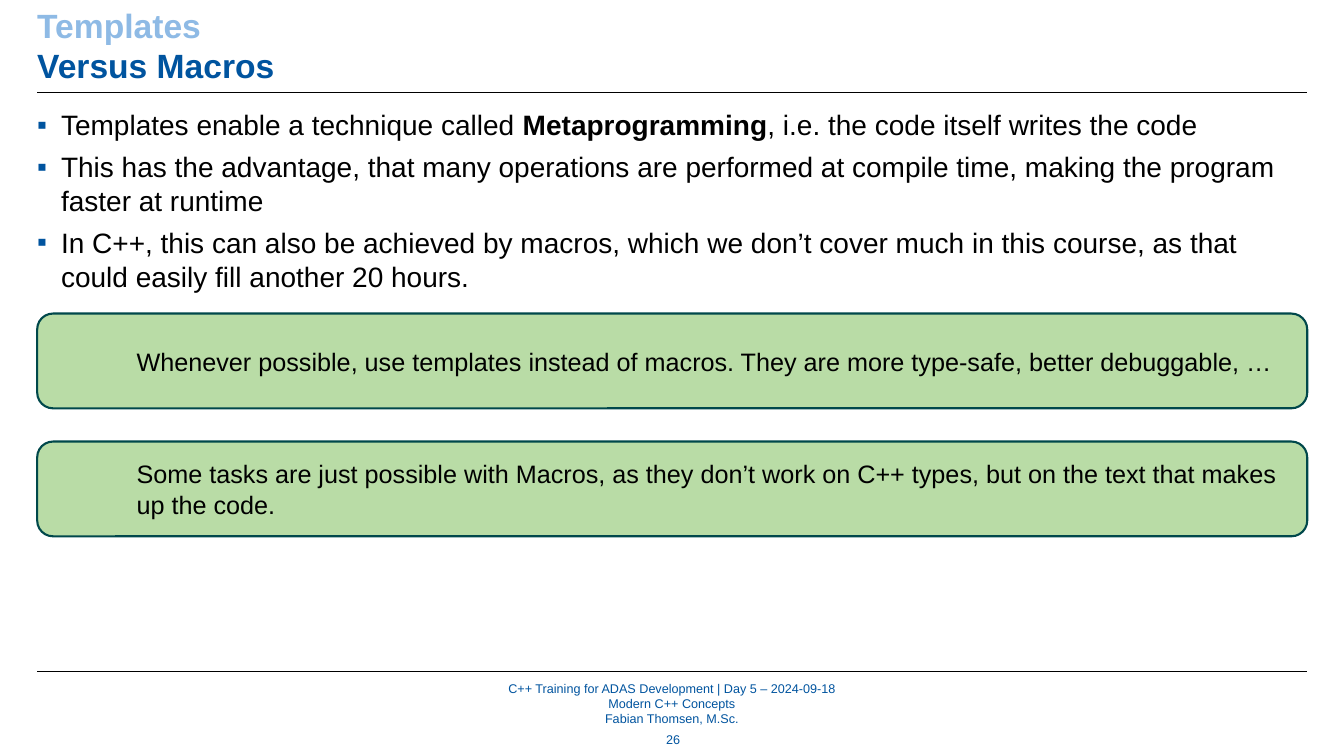
import pptx
import pptx.dml.color
import pptx.enum.shapes
import pptx.enum.text
import pptx.oxml
import pptx.oxml.ns
import pptx.util

Pt = pptx.util.Pt
ALIGN = pptx.enum.text.PP_ALIGN
ANCHOR = pptx.enum.text.MSO_ANCHOR
NAMESPACE = pptx.oxml.ns.nsdecls("a")

COLORS = {
    "blue": "00549F",
    "light_blue": "8EBAE5",
    "black": "000000",
    "green": "57AB27",
    "petrol": "00484B",
}
FORMATS = {
    "title": {"size": Pt(24), "bold": True},
    "body": {"size": Pt(20), "bold": False},
    "callout": {"size": Pt(18), "bold": False},
    "footer": {"size": Pt(9), "bold": False},
}

LEFT, WIDTH = 26.6, 907.2
TITLE_LINES = [("Templates", "light_blue"), ("Versus Macros", "blue")]
BULLETS = [
    ["Templates enable a technique called ", "Metaprogramming",
     ", i.e. the code itself writes the code"],
    ["This has the advantage, that many operations are performed at compile time, "
     "making the program faster at runtime"],
    ["In C++, this can also be achieved by macros, which we don’t cover much in "
     "this course, as that could easily fill another 20 hours."],
]
BOLD_TERM = "Metaprogramming"
CALLOUTS = [
    "Whenever possible, use templates instead of macros. They are more type-safe, "
    "better debuggable, …",
    "Some tasks are just possible with Macros, as they don’t work on C++ types, "
    "but on the text that makes up the code.",
]
FOOTER_LINES = [
    "C++ Training for ADAS Development | Day 5 – 2024-09-18",
    "Modern C++ Concepts",
    "Fabian Thomsen, M.Sc.",
]


def rgb(name):
    return pptx.dml.color.RGBColor.from_string(COLORS[name])


def place(shape, left, top, width, height):
    box = {"left": left, "top": top, "width": width, "height": height}
    for name, value in box.items():
        setattr(shape, name, Pt(value))


def set_frame(shape, anchor, margins=(0, 0, 0, 0)):
    frame = shape.text_frame
    frame.word_wrap = True
    frame.auto_size = pptx.enum.text.MSO_AUTO_SIZE.NONE
    frame.vertical_anchor = anchor
    for side, margin in zip(("left", "top", "right", "bottom"), margins):
        setattr(frame, f"margin_{side}", Pt(margin))
    return frame


def add_paragraph(frame, index, align=ALIGN.LEFT, space_before=0):
    paragraph = frame.add_paragraph() if index else frame.paragraphs[0]
    values = {"alignment": align, "line_spacing": 1.0, "space_after": Pt(0),
              "space_before": Pt(space_before if index else 0)}
    for name, value in values.items():
        setattr(paragraph, name, value)
    return paragraph


def add_run(paragraph, text, style, color):
    run = paragraph.add_run()
    run.text = text
    for name, value in {"name": "Arial", **FORMATS[style]}.items():
        setattr(run.font, name, value)
    run.font.color.rgb = rgb(color)
    return run


def add_title(slide, *box):
    title = slide.shapes.title
    place(title, *box)
    frame = set_frame(title, ANCHOR.TOP)
    for index, (text, color) in enumerate(TITLE_LINES):
        add_run(add_paragraph(frame, index), text, "title", color)


def add_bullets(slide, *box):
    body = slide.placeholders[1]
    place(body, *box)
    frame = set_frame(body, ANCHOR.TOP)
    for index, parts in enumerate(BULLETS):
        paragraph = add_paragraph(frame, index, space_before=6)
        properties = paragraph._p.get_or_add_pPr()
        properties.set("marL", str(Pt(17)))
        properties.set("indent", str(-Pt(17)))
        for element in (
            f'<a:buClr {NAMESPACE}><a:srgbClr val="{COLORS["blue"]}"/></a:buClr>',
            f'<a:buFont {NAMESPACE} typeface="Arial"/>',
            f'<a:buChar {NAMESPACE} char="▪"/>',
        ):
            properties.append(pptx.oxml.parse_xml(element))
        for part in parts:
            run = add_run(paragraph, part, "body", "black")
            run.font.bold = part == BOLD_TERM


def add_callout(slide, text, *box):
    callout = slide.shapes.add_shape(
        pptx.enum.shapes.MSO_SHAPE.ROUNDED_RECTANGLE, *map(Pt, box))
    callout.shadow.inherit = False
    callout.fill.solid()
    callout.fill.fore_color.rgb = rgb("green")
    # Let the background show through the fill
    fill_color = callout.fill._xPr.find(".//" + pptx.oxml.ns.qn("a:srgbClr"))
    fill_color.append(pptx.oxml.parse_xml(f'<a:alpha {NAMESPACE} val="41000"/>'))
    callout.line.color.rgb = rgb("petrol")
    callout.line.width = Pt(1.5)
    frame = set_frame(callout, ANCHOR.MIDDLE, (67.7, 3.6, 7.2, 3.6))
    add_run(add_paragraph(frame, 0), text, "callout", "black")


def add_rule(slide, left, top, width):
    rule = slide.shapes.add_connector(
        pptx.enum.shapes.MSO_CONNECTOR.STRAIGHT,
        Pt(left), Pt(top), Pt(left + width), Pt(top))
    rule.line.color.rgb = rgb("black")
    rule.line.width = Pt(0.5)
    rule._element.spPr.append(pptx.oxml.parse_xml(f"<a:effectLst {NAMESPACE}/>"))


def add_footer_text(slide, lines, *box):
    textbox = slide.shapes.add_textbox(*map(Pt, box))
    frame = set_frame(textbox, ANCHOR.MIDDLE)
    for index, text in enumerate(lines):
        add_run(add_paragraph(frame, index, ALIGN.CENTER), text, "footer", "blue")


def main():
    presentation = pptx.Presentation()
    presentation.slide_width, presentation.slide_height = Pt(960), Pt(540)
    slide = presentation.slides.add_slide(presentation.slide_layouts[1])

    # Header and rules
    add_title(slide, LEFT, 3.6, WIDTH, 58.3)
    for top in (66.2, 479.5):
        add_rule(slide, LEFT, top, WIDTH)

    # Content
    add_bullets(slide, LEFT, 77, WIDTH, 391)
    for index, text in enumerate(CALLOUTS):
        add_callout(slide, text, LEFT, 224 + 91.4 * index, WIDTH, 67.7)

    # Footer
    add_footer_text(slide, FOOTER_LINES, 247, 486, 465.8, 33.1)
    add_footer_text(slide, ["26"], 462.2, 519.1, 37.4, 18.7)

    presentation.save("out.pptx")


if __name__ == "__main__":
    main()
